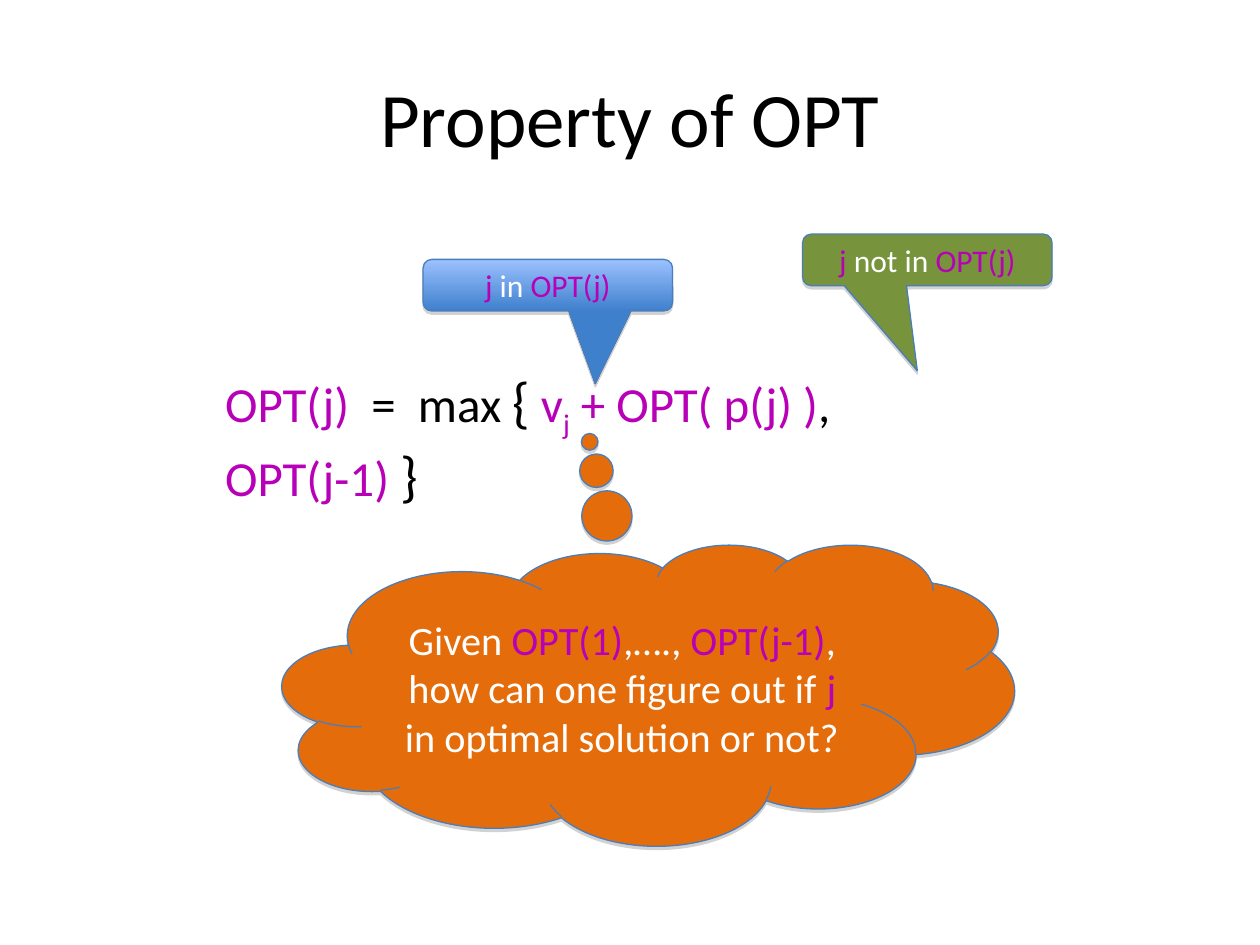
"""Build the slide about the recurrence for OPT."""
from lxml import etree
from pptx import Presentation, util as u
from pptx.dml.color import RGBColor
from pptx.enum import shapes, text
from pptx.oxml import ns

BLACK, WHITE, PURPLE = "000000", "FFFFFF", "B700B7"


def colour(value):
    return RGBColor.from_string(value)


class SlideBuilder:
    font = "Calibri"
    outline = "4A7EBB"

    def __init__(self, page):
        self.page = page

    def add_runs(self, box, runs, size, align, anchor):
        frame = box.text_frame
        frame.word_wrap = True
        frame.vertical_anchor = anchor
        para = frame.paragraphs[0]
        para.alignment = align
        for words, shade, *extra in runs:
            span = para.add_run()
            span.text = words
            span.font.name = self.font
            span.font.size = u.Pt(extra[0] if extra else size)
            span.font.color.rgb = colour(shade)
            if len(extra) > 1:
                span._r.get_or_add_rPr().set("baseline", str(extra[1]))

    def textbox(self, place, runs, size, align=text.PP_ALIGN.LEFT,
                anchor=text.MSO_ANCHOR.TOP, right=0.25):
        box = self.page.shapes.add_textbox(*map(u.Cm, place))
        box.text_frame.margin_right = u.Cm(right)
        self.add_runs(box, runs, size, align, anchor)

    def callout(self, kind, place, tip, fills, runs, size):
        box = self.page.shapes.add_shape(kind, *map(u.Cm, place))
        for index, value in enumerate(tip):
            box.adjustments[index] = value
        if len(fills) == 1:
            box.fill.solid()
            box.fill.fore_color.rgb = colour(fills[0])
        else:
            box.fill.gradient()
            box.fill.gradient_angle = 270
            for stop, shade, position in zip(box.fill.gradient_stops, fills, (0, 1)):
                stop.color.rgb = colour(shade)
                stop.position = position
        box.line.color.rgb = colour(self.outline)
        box.line.width = u.Pt(0.75)
        self.shadow(box)
        self.add_runs(box, runs, size, text.PP_ALIGN.CENTER, text.MSO_ANCHOR.MIDDLE)

    def shadow(self, box):
        box.shadow.inherit = False
        effects = box._element.spPr.find(ns.qn("a:effectLst"))
        outer = etree.SubElement(effects, ns.qn("a:outerShdw"), dist=str(u.Pt(1.8)),
                                 dir="5400000", rotWithShape="0")
        shade = etree.SubElement(outer, ns.qn("a:srgbClr"), val="808080")
        etree.SubElement(shade, ns.qn("a:alpha"), val="35000")


def main():
    deck = Presentation()
    deck.slide_width, deck.slide_height = u.Cm(25.4), u.Cm(19.05)
    slide = SlideBuilder(deck.slides.add_slide(deck.slide_layouts[6]))

    slide.textbox((1.27, 0.76, 22.86, 3.18), [("Property of OPT", BLACK)], 44,
                  text.PP_ALIGN.CENTER, text.MSO_ANCHOR.MIDDLE)
    slide.textbox((4.29, 7.26, 16.74, 1.75), [
        ("OPT(j)  ", PURPLE), ("=  max ", BLACK), ("{", BLACK, 32), (" ", BLACK),
        ("v", PURPLE), ("j", PURPLE, 28, -25000), (" + OPT( p(j) )", PURPLE),
        (", ", BLACK), ("OPT(j-1) ", PURPLE), ("}", BLACK, 32)], 28, right=2.5)

    kinds = shapes.MSO_SHAPE
    labels = (
        (8.53, 5.23, (0.19, 1.91), ("9BC1FF", "3F80CD"), " in "),
        (16.18, 4.72, (-0.04, 2.15), ("77933C",), " not in "),
    )
    for left, top, tip, fills, relation in labels:
        slide.callout(kinds.ROUNDED_RECTANGULAR_CALLOUT, (left, top, 5.03, 1.04), tip,
                      fills, [("j", PURPLE), (relation, WHITE), ("OPT(j)", PURPLE)], 18)
    slide.callout(kinds.CLOUD_CALLOUT, (5.69, 10.97, 14.76, 6.07), (-0.08, -0.84),
                  ("E46C0A",), [
        ("Given ", WHITE), ("OPT(1)", PURPLE), (",…., ", WHITE), ("OPT(j-1)", PURPLE),
        (", how can one figure out if ", WHITE), ("j", PURPLE),
        (" in optimal solution or not?", WHITE)], 23)
    deck.save("out.pptx")


if __name__ == "__main__":
    main()
